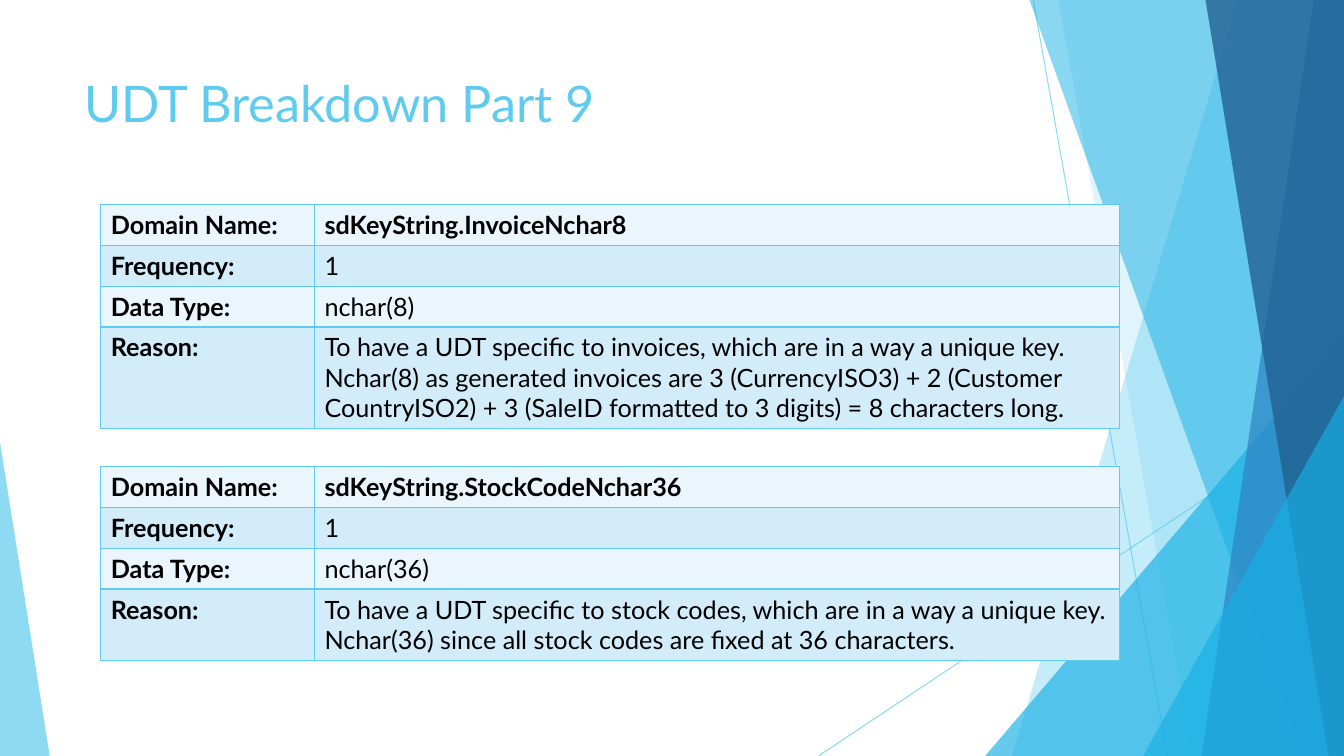
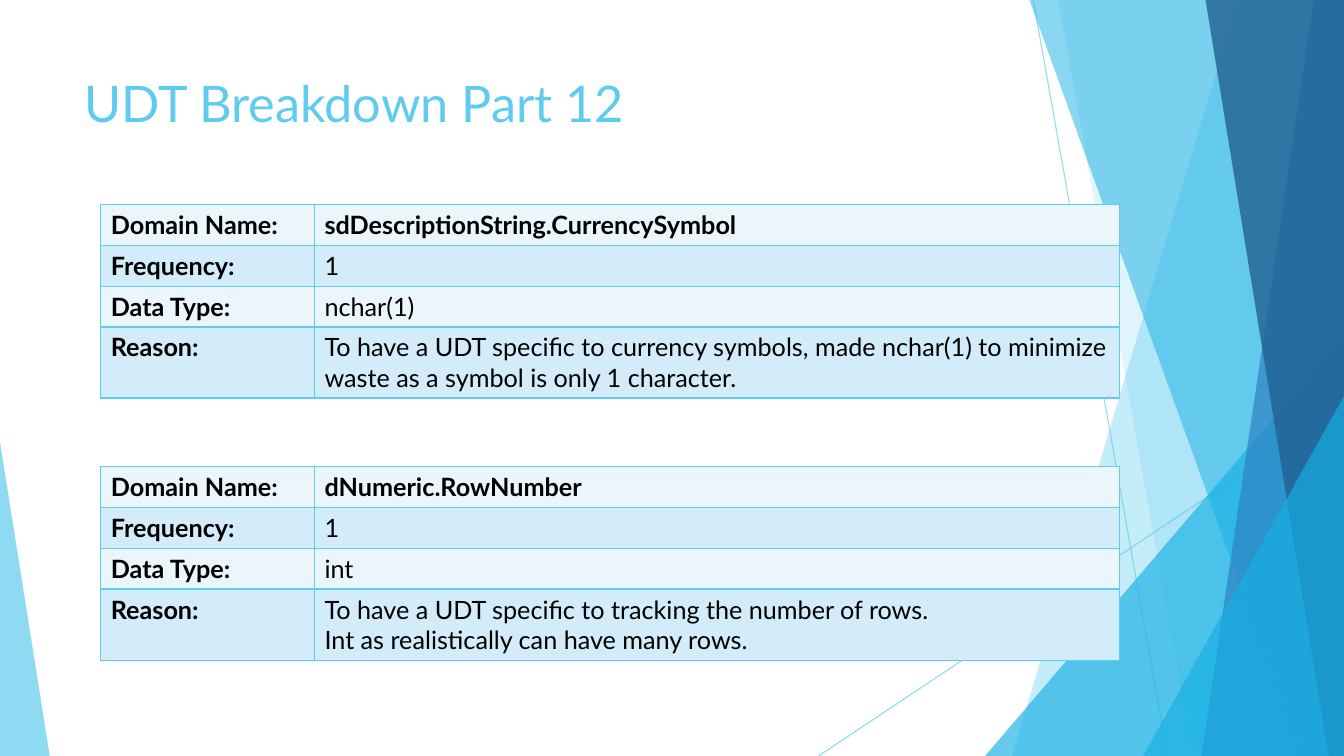
from lxml.etree import SubElement
from pptx import Presentation
from pptx.dml.color import RGBColor
from pptx.enum.shapes import MSO_CONNECTOR as Connector, MSO_SHAPE as Shape
from pptx.enum.text import MSO_ANCHOR as Anchor
from pptx.oxml.ns import qn
from pptx.util import Inches, Pt

FONT = "Lato"
SKY, CYAN, BLUE, NAVY = "5FCBEF", "17B0E4", "2E83C3", "226292"
BLACK, ROW_FILLS = "000000", ("EAF6FC", "D2ECF9")
LABELS = ("Domain Name:", "Frequency:", "Data Type:", "Reason:")
TABLE_LEFT, TABLE_TOPS, COLUMNS = 7.5, (27.07, 61.73), (15.9, 59.93)
ROW_HEIGHT, LINE_HEIGHT = 5.4, 4

SLIDES = [
    ("UDT Breakdown Part 9", [
        (("sdKeyString.InvoiceNchar8", "1", "nchar(8)",
          "To have a UDT specific to invoices, which are in a way a unique key.\v"
          "Nchar(8) as generated invoices are 3 (CurrencyISO3) + 2 (Customer "
          "CountryISO2) + 3 (SaleID formatted to 3 digits) = 8 characters long."), 3),
        (("sdKeyString.StockCodeNchar36", "1", "nchar(36)",
          "To have a UDT specific to stock codes, which are in a way a unique key.\v"
          "Nchar(36) since all stock codes are fixed at 36 characters."), 2),
    ]),
    ("UDT Breakdown Part 12", [
        (("sdDescriptionString.CurrencySymbol", "1", "nchar(1)",
          "To have a UDT specific to currency symbols, made nchar(1) to minimize "
          "waste as a symbol is only 1 character."), 2),
        (("dNumeric.RowNumber", "1", "int",
          "To have a UDT specific to tracking the number of rows.\v"
          "Int as realistically can have many rows."), 2),
    ]),
]


def color(value):
    return RGBColor.from_string(value)


class Deck:
    """Facet-styled slides whose lengths are percentages of the slide's size."""

    def __init__(self):
        self.deck = Presentation()
        self.deck.slide_width = Inches(13.333)
        self.deck.slide_height = Inches(7.5)

    def x(self, share):
        return round(self.deck.slide_width * share / 100)

    def y(self, share):
        return round(self.deck.slide_height * share / 100)

    def frame(self, left, top, width, height):
        return self.x(left), self.y(top), self.x(width), self.y(height)

    def add_page(self, title):
        self.page = self.deck.slides.add_slide(self.deck.slide_layouts[6])
        self.facets = self.page.shapes.add_group_shape().shapes
        self.backdrop()
        self.title(title)

    def backdrop(self):
        self.line(76.88, 0, 86.88, 100)
        self.line(100, 53.7, 60.9, 100)
        self.band(92.1, 75.3, SKY, 36)
        self.band(78.75, 88.75, SKY, 20)
        self.triangle(73.3, 44.4, 26.7, 1, CYAN, 66)
        self.band(76.6, 96.85, CYAN, 50)
        self.band(97.75, 89.4, BLUE, 70)
        self.band(89.7, 98.85, NAVY, 80)
        self.triangle(85.05, 52.4, 14.95, 1, CYAN, 66)
        self.triangle(0, 58.5, 3.7, 0, SKY, 70)

    def fade(self, shape, opacity):
        for tint in shape._element.spPr.iter(qn("a:srgbClr")):
            SubElement(tint, qn("a:alpha"), val=str(opacity * 1000))

    def paint(self, shape, fill, opacity):
        shape.shadow.inherit = False
        shape.fill.solid()
        shape.fill.fore_color.rgb = color(fill)
        shape.line.fill.background()
        self.fade(shape, opacity)

    def line(self, x1, y1, x2, y2):
        line = self.facets.add_connector(
            Connector.STRAIGHT, self.x(x1), self.y(y1), self.x(x2), self.y(y2))
        line.line.color.rgb = color(SKY)
        line.line.width = Pt(0.75)
        self.fade(line, 70)
        SubElement(line._element.spPr, qn("a:effectLst"))

    def band(self, top_left, bottom_left, fill, opacity):
        outline = self.facets.build_freeform(self.x(top_left), 0)
        corners = ((100, 0), (100, 100), (bottom_left, 100))
        outline.add_line_segments([(self.x(x), self.y(y)) for x, y in corners])
        self.paint(outline.convert_to_shape(), fill, opacity)

    def triangle(self, left, top, width, apex, fill, opacity):
        shape = self.facets.add_shape(
            Shape.ISOSCELES_TRIANGLE, *self.frame(left, top, width, 100 - top))
        shape.adjustments[0] = apex
        self.paint(shape, fill, opacity)

    def set_text(self, text_frame, text, size, tint, bold=False):
        text_frame.text = text
        text_frame.word_wrap = True
        for span in text_frame.paragraphs[0].runs:
            span.font.name = FONT
            span.font.size = Pt(size)
            span.font.bold = bold
            span.font.color.rgb = color(tint)

    def title(self, text):
        box = self.page.shapes.add_textbox(*self.frame(5.55, 8.95, 70.5, 16.4))
        box.text_frame.vertical_anchor = Anchor.TOP
        self.set_text(box.text_frame, text, 36, SKY)

    def border(self, cell):
        properties = cell._tc.get_or_add_tcPr()
        for side in ("lnL", "lnR", "lnT", "lnB"):
            edge = SubElement(properties, qn(f"a:{side}"), w=str(Pt(1)))
            fill = SubElement(edge, qn("a:solidFill"))
            SubElement(fill, qn("a:srgbClr"), val=SKY)

    def table(self, top, values, reason_lines):
        heights = [ROW_HEIGHT] * len(LABELS)
        heights[-1] += LINE_HEIGHT * (reason_lines - 1)
        table = self.page.shapes.add_table(
            len(LABELS), len(COLUMNS),
            *self.frame(TABLE_LEFT, top, sum(COLUMNS), sum(heights))).table
        table.first_row = table.horz_banding = False
        for column, width in zip(table.columns, COLUMNS):
            column.width = self.x(width)
        for index, texts in enumerate(zip(LABELS, values)):
            table.rows[index].height = self.y(heights[index])
            for position, text in enumerate(texts):
                cell = table.cell(index, position)
                self.border(cell)
                cell.fill.solid()
                cell.fill.fore_color.rgb = color(ROW_FILLS[index % 2])
                bold = index == 0 or position == 0
                self.set_text(cell.text_frame, text, 18, BLACK, bold)


def main():
    deck = Deck()
    for title, domains in SLIDES:
        deck.add_page(title)
        for top, (values, reason_lines) in zip(TABLE_TOPS, domains):
            deck.table(top, values, reason_lines)
    deck.deck.save("out.pptx")


if __name__ == "__main__":
    main()
